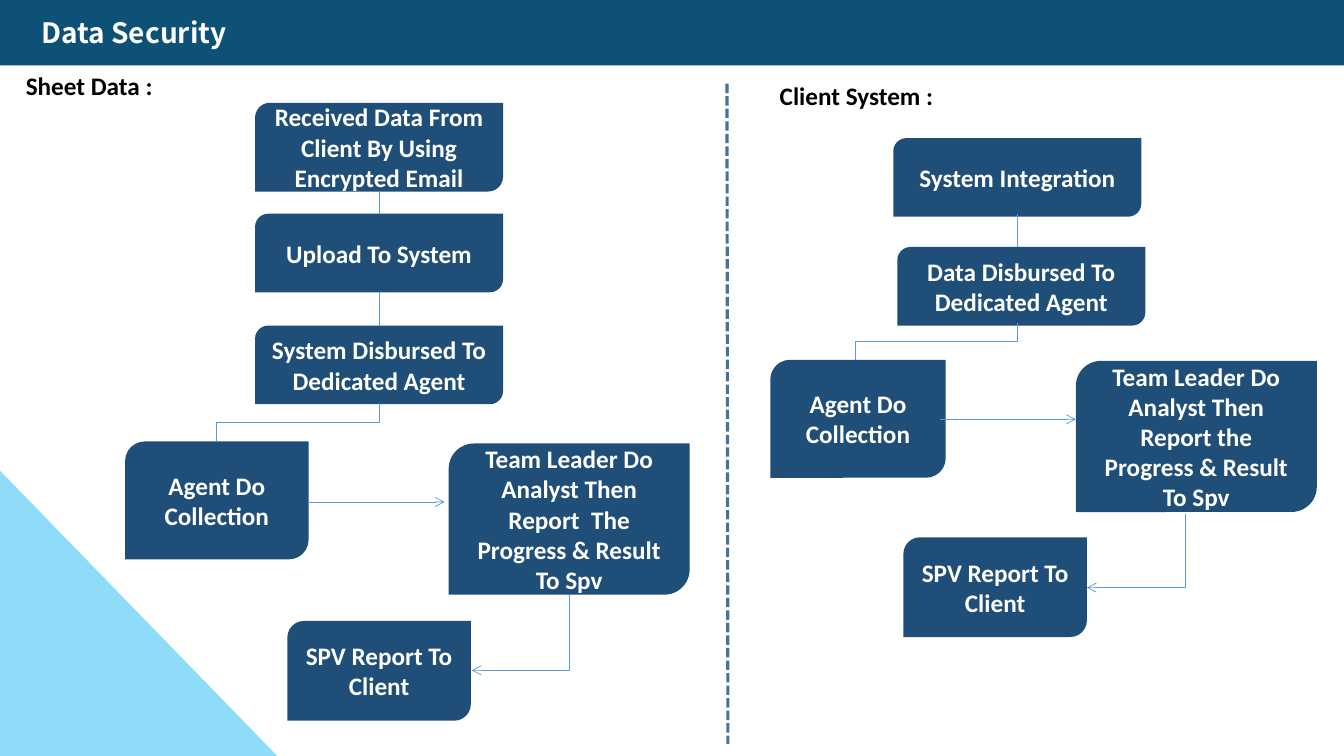
import pptx
import pptx.dml.color
import pptx.enum.dml
import pptx.enum.shapes
import pptx.enum.text
import pptx.oxml.ns
import pptx.util
from lxml import etree

Inches = pptx.util.Inches
Pt = pptx.util.Pt
RGBColor = pptx.dml.color.RGBColor
SHAPE = pptx.enum.shapes.MSO_SHAPE
CONNECTOR = pptx.enum.shapes.MSO_CONNECTOR
ANCHOR = pptx.enum.text.MSO_ANCHOR
ALIGN = pptx.enum.text.PP_ALIGN
qn = pptx.oxml.ns.qn

WHITE = RGBColor(0xFF, 0xFF, 0xFF)
BLACK = RGBColor(0, 0, 0)
BANNER = RGBColor(0x0D, 0x51, 0x76)
CORNER = RGBColor(0x00, 0xB0, 0xF0)
STEP = RGBColor(0x1F, 0x4E, 0x79)
LINK = RGBColor(0x5B, 0x9B, 0xD5)
DIVIDER = RGBColor(0x43, 0x73, 0x9E)

# Steps: text, left, top, width, height. Links: kind, from x, y, to x, y.
# Both are in inches from the top left of their flow.
SHEET_STEPS = [
    ("Received Data From Client By Using Encrypted Email", 2.53, 0.37, 2.46, 0.88),
    ("Upload To System", 2.53, 1.47, 2.46, 0.78),
    ("System Disbursed To Dedicated Agent", 2.53, 2.58, 2.46, 0.78),
    ("Team Leader Do Analyst Then Report  The Progress & Result To Spv",
     4.45, 3.75, 2.39, 1.5),
    ("Agent Do Collection", 1.24, 3.73, 1.82, 1.17),
    ("SPV Report To Client", 2.85, 5.51, 1.82, 0.99),
]
SHEET_LINKS = [
    ("line", 3.76, 1.25, 3.76, 1.47),
    ("line", 3.76, 2.25, 3.76, 2.58),
    ("arrow", 3.06, 4.33, 4.41, 4.33),
    ("step", 3.76, 3.35, 2.15, 3.73),
    ("corner", 5.65, 5.25, 4.68, 6),
]
CLIENT_STEPS = [
    ("System Integration", 1.25, 0.62, 2.46, 0.78),
    ("Data Disbursed To Dedicated Agent", 1.29, 1.7, 2.46, 0.78),
    ("Agent Do Collection", 0.03, 2.82, 1.74, 1.17),
    ("Team Leader Do Analyst Then Report the Progress & Result To Spv",
     3.06, 2.83, 2.39, 1.5),
    ("SPV Report To Client", 1.35, 4.58, 1.82, 0.99),
]
CLIENT_LINKS = [
    ("line", 2.48, 1.37, 2.48, 1.7),
    ("step", 2.48, 2.45, 0.87, 2.82),
    ("arrow", 1.71, 3.41, 3.06, 3.41),
    ("corner", 4.15, 4.35, 3.17, 5.08),
]


def add_block(s, preset, fill, left, top, width, height):
    sp = s.shapes.add_shape(preset, Inches(left), Inches(top),
                            Inches(width), Inches(height))
    sp.shadow.inherit = False
    sp.fill.solid()
    sp.fill.fore_color.rgb = fill
    sp.line.fill.background()
    return sp


def set_text(sp, text, size, color, font="Calibri", align=ALIGN.CENTER,
             anchor=ANCHOR.MIDDLE):
    tf = sp.text_frame
    tf.word_wrap = True
    tf.vertical_anchor = anchor
    p = tf.paragraphs[0]
    p.text = text
    p.alignment = align
    p.font.name = font
    p.font.size = Pt(size)
    p.font.bold = True
    p.font.color.rgb = color


def add_line(s, kind, x1, y1, x2, y2, color, width):
    c = s.shapes.add_connector(kind, Inches(x1), Inches(y1), Inches(x2), Inches(y2))
    c.line.color.rgb = color
    c.line.width = Pt(width)
    etree.SubElement(c._element.spPr, qn("a:effectLst"))
    return c


def add_link(s, kind, x1, y1, x2, y2):
    """Join two points; a step or corner link leaves downward and goes left."""
    if kind in ("step", "corner"):
        # An elbow leaves sideways, so it is laid flat and turned by 90 degrees.
        run, drop = x1 - x2, y2 - y1
        left, top = (x1 + x2 - drop) / 2, (y1 + y2 - run) / 2
        c = add_line(s, CONNECTOR.ELBOW, left, top, left + drop, top + run, LINK, 0.5)
        c._element.spPr.find(qn("a:xfrm")).set("rot", "5400000")
        if kind == "corner":
            c._element.spPr.find(qn("a:prstGeom")).set("prst", "bentConnector2")
    else:
        c = add_line(s, CONNECTOR.STRAIGHT, x1, y1, x2, y2, LINK, 0.5)
    if kind in ("arrow", "corner"):
        etree.SubElement(c.line._get_or_add_ln(), qn("a:tailEnd"), type="arrow")


def add_background(s, width, height):
    sp = add_block(s, SHAPE.RIGHT_TRIANGLE, CORNER, 0, height - 2.83, 2.75, 2.83)
    rgb = sp._element.spPr.find(qn("a:solidFill")).find(qn("a:srgbClr"))
    etree.SubElement(rgb, qn("a:alpha"), val="44000")
    add_block(s, SHAPE.RECTANGLE, BANNER, 0, 0, width, 0.65)


def add_title(s, left, top, width, height):
    sp = s.shapes.title
    sp.left, sp.top = Inches(left), Inches(top)
    sp.width, sp.height = Inches(width), Inches(height)
    set_text(sp, "Data Security", 20, WHITE, "Noto Sans CJK SC",
             ALIGN.LEFT, ANCHOR.TOP)
    s.shapes._spTree.append(sp._element)  # in front of the banner


def add_flow(s, left, top, heading, steps, links):
    sp = s.shapes.add_textbox(Inches(left), Inches(top), Inches(1.77), Inches(0.4))
    set_text(sp, heading, 18, BLACK, anchor=ANCHOR.TOP)
    for text, x, y, width, height in steps:
        sp = add_block(s, SHAPE.ROUND_2_DIAG_RECTANGLE, STEP,
                       left + x, top + y, width, height)
        set_text(sp, text, 18, WHITE)
    for kind, x1, y1, x2, y2 in links:
        add_link(s, kind, left + x1, top + y1, left + x2, top + y2)


def main():
    prs = pptx.Presentation()
    prs.slide_width, prs.slide_height = Inches(13.33), Inches(7.5)
    s = prs.slides.add_slide(prs.slide_layouts[5])
    add_background(s, 13.33, 7.5)
    add_title(s, 0.31, 0.1, 11, 0.44)
    add_flow(s, 0, 0.65, "Sheet Data :", SHEET_STEPS, SHEET_LINKS)
    divider = add_line(s, CONNECTOR.STRAIGHT, 7.21, 0.83, 7.22, 7.38, DIVIDER, 2.25)
    divider.line.dash_style = pptx.enum.dml.MSO_LINE.SQUARE_DOT
    add_flow(s, 7.61, 0.75, "Client System :", CLIENT_STEPS, CLIENT_LINKS)
    prs.save("out.pptx")


if __name__ == "__main__":
    main()
